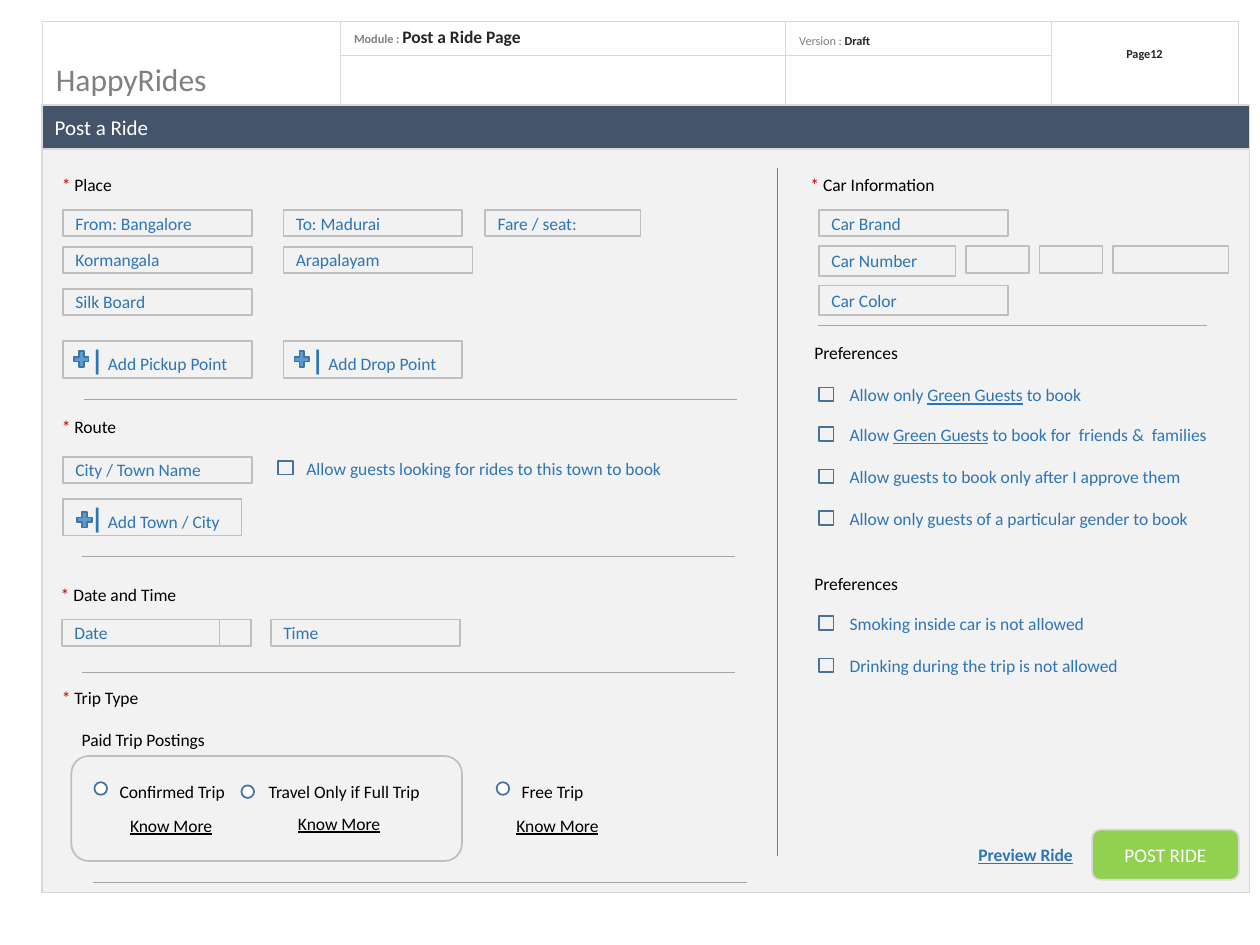
import pptx
import pptx.dml.color
import pptx.enum.shapes
import pptx.enum.text
import pptx.oxml
import pptx.oxml.ns
import pptx.util
from lxml import etree

COLUMNS, ROWS = 120, 90  # grid cells of a twelfth of an inch
SHAPE = pptx.enum.shapes.MSO_SHAPE
ALIGN = pptx.enum.text.PP_ALIGN
ANCHOR = pptx.enum.text.MSO_ANCHOR
INK, BLUE, RED, WHITE = "000000", "2E75B6", "C00000", "FFFFFF"
PANEL, EDGE, RULE, MARK = "F2F2F2", "BFBFBF", "A6A6A6", "43739E"
PALE, GREY, DARK = "D9D9D9", "808080", "262626"


def rgb(value):
    return pptx.dml.color.RGBColor.from_string(value)


class Wireframe:
    font = "Calibri"
    size = 10

    def __init__(self, deck):
        self.slide = deck.slides.add_slide(deck.slide_layouts[5])
        self.shapes = self.slide.shapes
        self.column = deck.slide_width / COLUMNS
        self.row = deck.slide_height / ROWS

    def place(self, col, row, wide=0, high=0):
        return (round(col * self.column), round(row * self.row),
                round(wide * self.column), round(high * self.row))

    def fill_text(self, frame, runs, align=ALIGN.LEFT, indent=0.1):
        """Each run is (text, colour, {bold, underline, size})."""
        frame.word_wrap = True
        frame.margin_left = pptx.util.Inches(indent)
        paragraph = frame.paragraphs[0]
        paragraph.alignment = align
        for words, colour, style in runs:
            run = paragraph.add_run()
            run.text = words
            run.font.name = self.font
            run.font.size = pptx.util.Pt(style.get("size", self.size))
            run.font.bold = style.get("bold", False)
            run.font.underline = style.get("underline", False)
            run.font.color.rgb = rgb(colour)

    def paint(self, shape, fill, line):
        if fill:
            shape.fill.solid()
            shape.fill.fore_color.rgb = rgb(fill)
        else:
            shape.fill.background()
        shape.line.color.rgb = rgb(line)
        shape.line.width = pptx.util.Pt(1)

    def box(self, area, runs=(), kind=SHAPE.RECTANGLE, fill=PANEL, line=EDGE, **text):
        shape = self.shapes.add_shape(kind, *self.place(*area))
        shape.shadow.inherit = False
        self.paint(shape, fill, line)
        if runs:
            shape.text_frame.vertical_anchor = ANCHOR.MIDDLE
            self.fill_text(shape.text_frame, runs, **text)
        return shape

    def title(self, area, words, behind):
        bar = self.shapes.title
        bar.left, bar.top, bar.width, bar.height = self.place(*area)
        self.paint(bar, "44546A", PALE)
        bar.text_frame.auto_size = pptx.enum.text.MSO_AUTO_SIZE.NONE
        bar.text_frame.vertical_anchor = ANCHOR.MIDDLE
        self.fill_text(bar.text_frame, [(words, WHITE, {"size": 12})])
        behind.element.addnext(bar.element)

    def label(self, col, row, runs, wide=19.3, **text):
        frame = self.shapes.add_textbox(*self.place(col, row, wide, 3.2)).text_frame
        self.fill_text(frame, runs, **text)

    def heading(self, col, row, words):
        self.label(col, row, [("* ", RED, {}), (words, INK, {})])

    def field(self, col, row, words="", wide=18, high=2.5):
        self.box((col, row, wide, high), [(words, BLUE, {})] if words else ())

    def add_button(self, col, row, words, wide, plus_col, plus_row):
        bold = {"bold": True}
        self.box((col, row, wide, 3.5),
                 [("|", BLUE, {"bold": True, "size": 16}), (" ", BLUE, bold), (words, BLUE, {})],
                 indent=0.22)
        self.box((plus_col, plus_row, 1.9, 2), kind=SHAPE.MATH_PLUS, fill="5B9BD5", line=MARK)

    def checkbox(self, col, row, *parts, gap=1, wide=38, indent=0.16):
        """Every second part is underlined."""
        self.box((col, row + 0.9, 1.4, 1.3), line=MARK)
        runs = [(words, BLUE, {"underline": i % 2 == 1}) for i, words in enumerate(parts)]
        self.label(col + gap, row, runs, wide, indent=indent)

    def radio(self, col, row, words, text_col):
        self.box((col, row, 1.2, 1.2), kind=SHAPE.OVAL, fill=WHITE, line=MARK)
        self.label(text_col, 73.8, [(words, INK, {})], 27.5)

    def rule(self, start, end, colour=RULE):
        line = self.shapes.add_connector(pptx.enum.shapes.MSO_CONNECTOR.STRAIGHT,
                                         *self.place(*start, *end))
        line.line.color.rgb = rgb(colour)
        line.line.width = pptx.util.Pt(0.5)
        etree.SubElement(line.element.spPr, pptx.oxml.ns.qn("a:effectLst"))

    def header(self, area, widths, heights, cells, merged):
        table = self.shapes.add_table(len(heights), len(widths), *self.place(*area)).table
        table.first_row = table.horz_banding = False
        for column, wide in zip(table.columns, widths):
            column.width = round(wide * self.column)
        for table_row, high in zip(table.rows, heights):
            table_row.height = round(high * self.row)
        for cell in table.iter_cells():
            self.border(cell)
            cell.margin_left = cell.margin_right = pptx.util.Inches(0.11)
            cell.vertical_anchor = ANCHOR.BOTTOM
        for index in merged:
            table.cell(0, index).merge(table.cell(len(heights) - 1, index))
        for index, runs in enumerate(cells):
            cell = table.cell(0, index)
            self.fill_text(cell.text_frame, runs)
            cell.margin_left = pptx.util.Inches(0.11)
        return table

    def border(self, cell):
        properties = cell._tc.get_or_add_tcPr()
        for side in ("lnL", "lnR", "lnT", "lnB"):
            properties.append(pptx.oxml.parse_xml(
                f'<a:{side} {pptx.oxml.ns.nsdecls("a")} w="3175"><a:solidFill>'
                f'<a:srgbClr val="{PALE}"/></a:solidFill></a:{side}>'))
        cell.fill.background()


def main():
    deck = pptx.Presentation()
    deck.slide_width, deck.slide_height = pptx.util.Inches(10), pptx.util.Inches(7.5)
    page = Wireframe(deck)

    # Document header
    small, strong = {"size": 7}, {"size": 7, "bold": True}
    header = page.header((4, 2, 113.9, 6), (28.4, 42.4, 25.3, 17.8), (2.5, 3.5), [
        [("HappyRides", GREY, {"size": 18})],
        [("Module : ", GREY, strong), ("Post a Ride Page", DARK, {"bold": True})],
        [("Version : ", GREY, small), ("Draft", DARK, strong)],
        [("Page12", DARK, strong)]], merged=(0, 3))
    page_number = header.cell(0, 3)
    page_number.vertical_anchor = ANCHOR.MIDDLE
    page_number.margin_bottom = pptx.util.Inches(0.2)
    page_number.text_frame.paragraphs[0].alignment = ALIGN.CENTER

    # Form panel and title bar
    form = page.box((4, 10, 115, 75), line=PALE)
    page.title((4, 10, 115, 4.2), "Post a Ride", behind=form)
    page.rule((74, 16), (74, 81.5), GREY)

    # Place
    page.heading(4.7, 16, "Place")
    for col, row, words, wide in (
            (6, 20, "From: Bangalore", 18), (27, 20, "To: Madurai", 17),
            (46.2, 20, "Fare / seat:", 14.8), (6, 23.5, "Kormangala", 18),
            (27, 23.5, "Arapalayam", 18), (6, 27.5, "Silk Board", 18)):
        page.field(col, row, words, wide)
    page.add_button(6, 32.5, "Add Pickup Point", 18, 6.8, 33.2)
    page.add_button(27, 32.5, "Add Drop Point", 17, 27.8, 33.2)

    # Route
    page.heading(4.7, 39, "Route")
    page.field(6, 43.5, "City / Town Name")
    page.checkbox(26.5, 43, "Allow guests looking for rides to this town to book",
                  gap=1.5, wide=40, indent=0.1)
    page.add_button(6, 47.5, "Add Town / City", 17, 7.1, 48.5)

    # Date and time
    page.heading(4.6, 55, "Date and Time")
    page.field(5.9, 59, "Date")
    page.field(20.9, 59, wide=3)
    page.field(25.8, 59, "Time")

    # Trip type
    page.heading(4.7, 64.8, "Trip Type")
    page.label(6.6, 68.8, [("Paid Trip Postings", INK, {})])
    page.box((6.8, 72, 37.2, 10), kind=SHAPE.ROUNDED_RECTANGLE, fill=None)
    page.radio(9, 74.5, "Confirmed Trip", 10.2)
    page.radio(23, 74.8, "Travel Only if Full Trip", 24.4)
    page.radio(47.3, 74.5, "Free Trip", 48.5)
    for col, row in ((11.2, 77), (27.2, 76.8), (48, 77)):
        page.label(col, row, [("Know More", INK, {"underline": True})])

    # Section rules of the left side
    for col, row in ((8, 38), (7.8, 53), (7.8, 64), (8.9, 84)):
        page.rule((col, row), (col + 62.2, row))

    # Car information
    page.heading(76, 16, "Car Information")
    page.field(78, 20, "Car Brand")
    page.field(78, 23.4, "Car Number", 13, 2.9)
    for col, wide in ((92, 6), (99, 6), (106, 11)):
        page.field(col, 23.4, wide=wide, high=2.6)
    page.field(78, 27.2, "Car Color", high=2.8)
    page.rule((77.9, 31), (115, 31))

    # Preferences
    for row in (32, 54):
        page.label(76, row, [("Preferences", INK, {})], indent=0.13)
    for row, parts in (
            (36, ("Allow only ", "Green Guests", " to book")),
            (39.8, ("Allow ", "Green Guests", " to book for  friends &  families")),
            (43.8, ("Allow guests to book only after I approve them",)),
            (47.8, ("Allow only guests of a particular gender to book",)),
            (57.8, ("Smoking inside car is not allowed",)),
            (61.8, ("Drinking during the trip is not allowed",))):
        page.checkbox(78, row, *parts)

    # Actions
    page.label(92, 79.8, [("Preview Ride", BLUE, {"bold": True, "underline": True})])
    page.box((104, 79, 14, 4.8), [("POST RIDE", WHITE, {"size": 11})],
             kind=SHAPE.ROUNDED_RECTANGLE, fill="92D050", line="DBDBDB", align=ALIGN.CENTER)

    deck.save("out.pptx")


if __name__ == "__main__":
    main()
